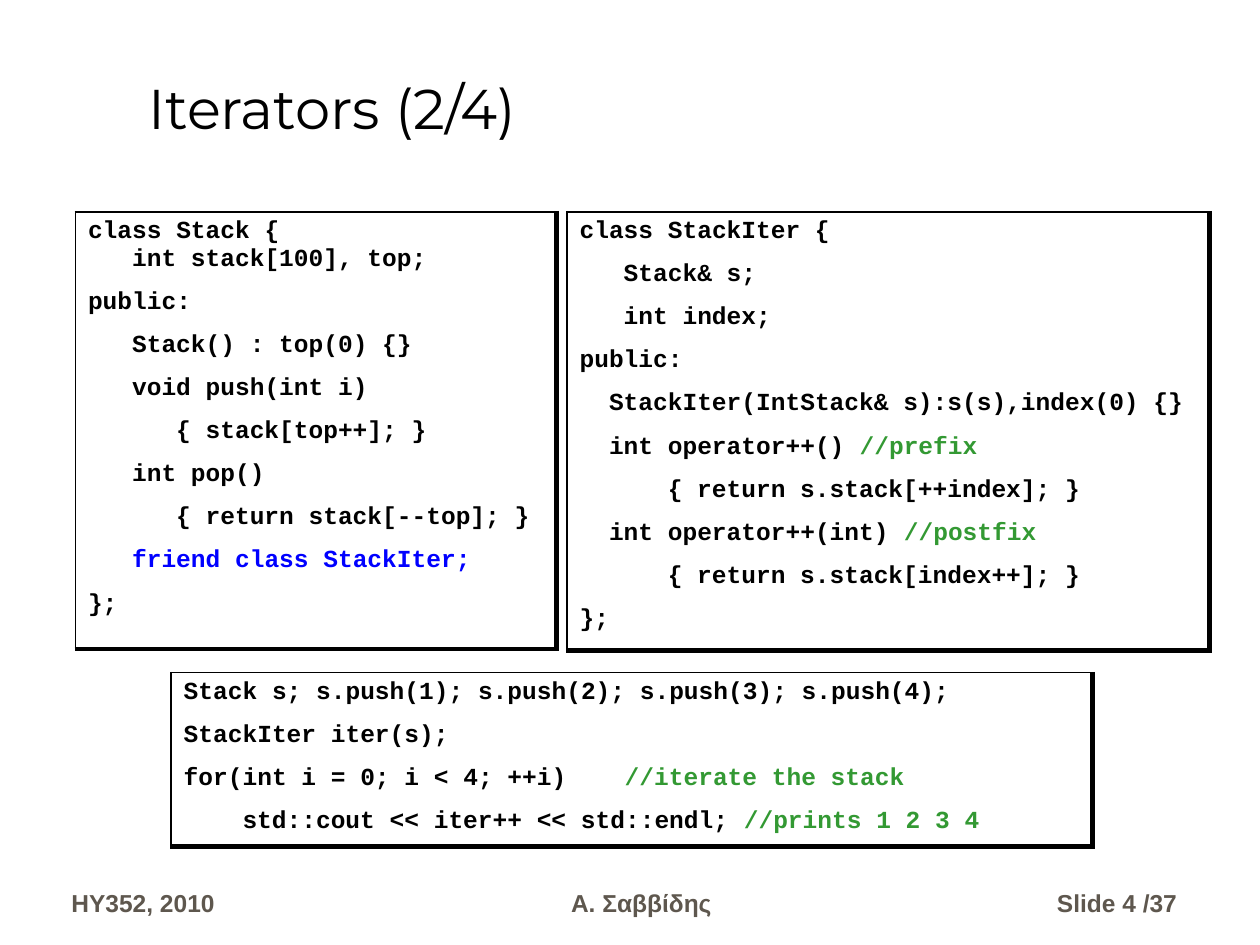
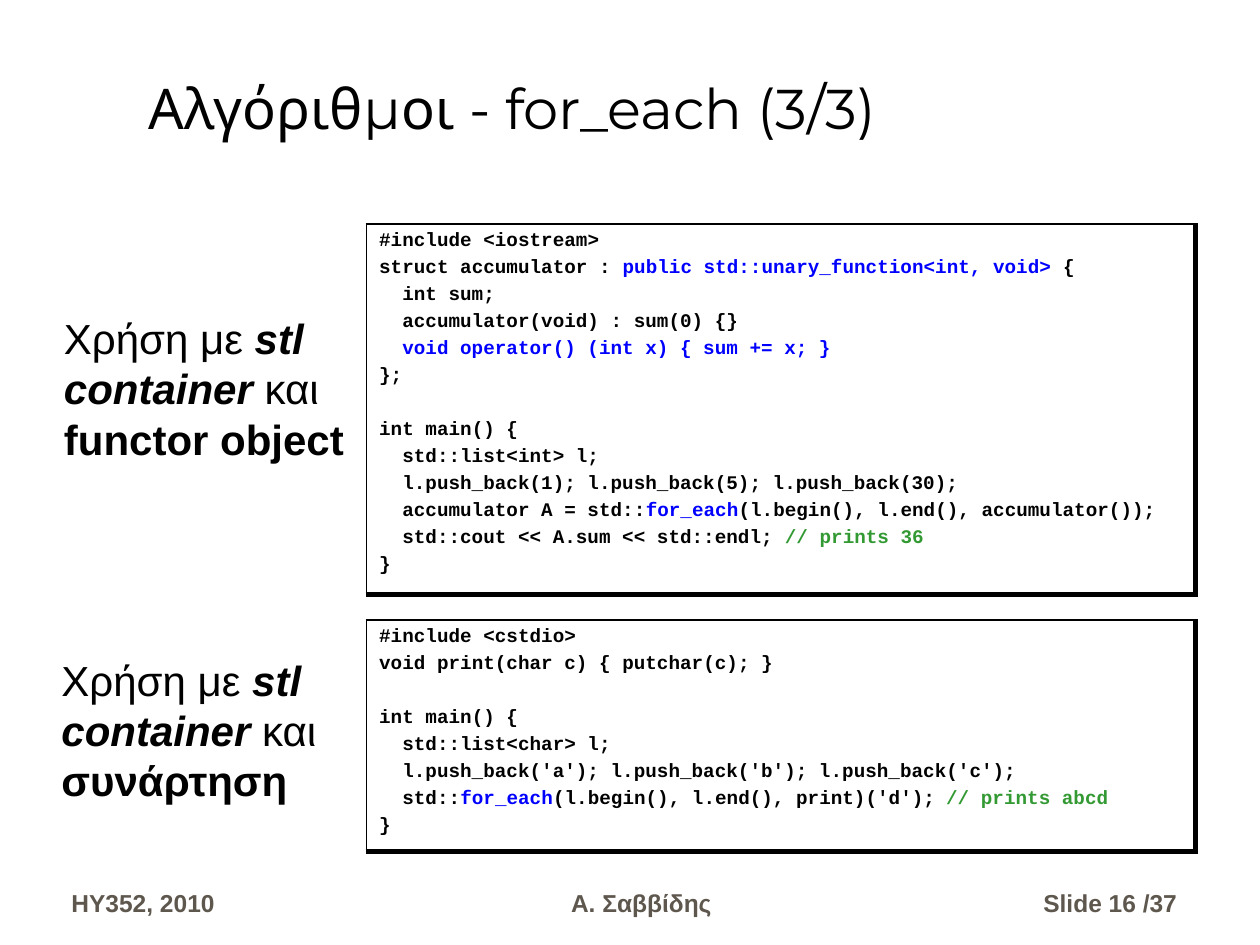
"""Build two lecture slides on C++ iterators and the for_each algorithm."""

from dataclasses import dataclass
from typing import NamedTuple

import lxml.etree
import pptx
import pptx.dml.color
import pptx.enum.text
import pptx.oxml
import pptx.oxml.ns
import pptx.slide
import pptx.table
import pptx.text.text
import pptx.util

Cm = pptx.util.Cm
Pt = pptx.util.Pt
Align = pptx.enum.text.PP_ALIGN
Anchor = pptx.enum.text.MSO_ANCHOR

BLACK = pptx.dml.color.RGBColor(0x00, 0x00, 0x00)
WHITE = pptx.dml.color.RGBColor(0xFF, 0xFF, 0xFF)
KEYWORD_BLUE = pptx.dml.color.RGBColor(0x00, 0x00, 0xFF)
COMMENT_GREEN = pptx.dml.color.RGBColor(0x33, 0x99, 0x33)
FOOTER_GREY = pptx.dml.color.RGBColor(0x5E, 0x57, 0x4E)

TITLE_FONT = "Montserrat"
BODY_FONT = "Arial"
CODE_FONT = "Courier New"
CODE_CHARACTER_WIDTH = 0.6
CODE_LINE_HEIGHT = 1.13
THIN_BORDER = Pt(1.08)
THICK_BORDER = Pt(3)
SLIDE_TOTAL = 37


class Box(NamedTuple):
    """Place and size in centimetres."""

    left: float
    top: float
    width: float
    height: float

    def lengths(self) -> tuple[Cm, ...]:
        """Give the four values as lengths."""
        return tuple(Cm(value) for value in self)


class Span(NamedTuple):
    """Piece of a label with its emphasis."""

    text: str
    bold: bool = False
    italic: bool = False


@dataclass(frozen=True)
class Label:
    """Explanation beside a code box."""

    box: Box
    spans: tuple[Span, ...]


@dataclass(frozen=True)
class CodeBox:
    """Bordered listing whose tabs lead to the comment column."""

    box: Box
    code: str
    size: float
    gap: float
    highlights: tuple[str, ...] = ()
    tight_lines: tuple[int, ...] = ()
    comment_column: int = 0


@dataclass(frozen=True)
class Lesson:
    """Content of one slide."""

    number: int
    title: str
    code_boxes: tuple[CodeBox, ...]
    labels: tuple[Label, ...] = ()


TITLE_BOX = Box(2.74, 0.43, 22.66, 2.54)

STACK_CODE = """class Stack {
   int stack[100], top;
public:
   Stack() : top(0) {}
   void push(int i)
      { stack[top++]; }
   int pop()
      { return stack[--top]; }
   friend class StackIter;
};"""

ITERATOR_CODE = """class StackIter {
   Stack& s;
   int index;
public:
  StackIter(IntStack& s):s(s),index(0) {}
  int operator++() //prefix
      { return s.stack[++index]; }
  int operator++(int) //postfix
      { return s.stack[index++]; }
};"""

USAGE_CODE = """Stack s; s.push(1); s.push(2); s.push(3); s.push(4);
StackIter iter(s);
for(int i = 0; i < 4; ++i)\t//iterate the stack
    std::cout << iter++ << std::endl; //prints 1 2 3 4"""

FUNCTOR_CODE = """#include <iostream>
struct accumulator : public std::unary_function<int, void> {
  int sum;
  accumulator(void) : sum(0) {}
  void operator() (int x) { sum += x; }
};

int main() {
  std::list<int> l;
  l.push_back(1); l.push_back(5); l.push_back(30);
  accumulator A = std::for_each(l.begin(), l.end(), accumulator());
  std::cout << A.sum << std::endl; // prints 36
}"""

FUNCTION_CODE = """#include <cstdio>
void print(char c) { putchar(c); }

int main() {
  std::list<char> l;
  l.push_back('a'); l.push_back('b'); l.push_back('c');
  std::for_each(l.begin(), l.end(), print)('d');\t// prints abcd
}"""


def label_spans(ending: str) -> tuple[Span, ...]:
    """Compose a label that differs only in its ending."""
    return (
        Span("Χρήση με "),
        Span("stl container", bold=True, italic=True),
        Span(" και "),
        Span(ending, bold=True),
    )


LESSONS = (
    Lesson(
        4,
        "Iterators (2/4)",
        (
            CodeBox(Box(1.52, 4.27, 9.7, 8.81), STACK_CODE, 14, 8.8,
                    highlights=("friend class StackIter;",), tight_lines=(1,)),
            CodeBox(Box(11.43, 4.27, 12.95, 8.84), ITERATOR_CODE, 14, 8.8),
            CodeBox(Box(3.45, 13.56, 18.57, 3.51), USAGE_CODE, 14, 8.8,
                    comment_column=38),
        ),
    ),
    Lesson(
        16,
        "Αλγόριθμοι - for_each (3/3)",
        (
            CodeBox(Box(7.39, 4.52, 16.71, 7.47), FUNCTOR_CODE, 11, 2.8,
                    highlights=("public std::unary_function<int, void>",
                                "void operator() (int x) { sum += x; }",
                                "for_each")),
            CodeBox(Box(7.39, 12.5, 16.71, 4.67), FUNCTION_CODE, 11, 2.8,
                    highlights=("for_each",), comment_column=50),
        ),
        (
            Label(Box(1.04, 6.17, 6.43, 3.3), label_spans("functor object")),
            Label(Box(0.99, 13.06, 6.12, 3.3), label_spans("συνάρτηση")),
        ),
    ),
)


def format_run(run: pptx.text.text._Run, font_name: str, size: float,
               color: pptx.dml.color.RGBColor = BLACK,
               bold: bool = False, italic: bool = False) -> None:
    """Set the character format of a run."""
    run.font.name = font_name
    run.font.size = Pt(size)
    run.font.color.rgb = color
    run.font.bold = bold
    run.font.italic = italic


def color_pieces(line: str, highlights: tuple[str, ...]) -> list[tuple]:
    """Split a code line into pieces with their colours."""
    code, slashes, comment = line.partition("//")
    highlight = next((text for text in highlights if text in code), "")
    before, found, after = code.partition(highlight) if highlight else (code, "", "")
    pieces = [(before, BLACK), (found, KEYWORD_BLUE), (after, BLACK),
              (slashes + comment, COMMENT_GREEN)]
    return [piece for piece in pieces if piece[0]]


def set_borders(cell: pptx.table._Cell) -> None:
    """Give a cell thin left and top and thick right and bottom borders."""
    properties = cell._tc.get_or_add_tcPr()
    widths = {"L": THIN_BORDER, "R": THICK_BORDER, "T": THIN_BORDER, "B": THICK_BORDER}
    for side, width in widths.items():
        properties.append(pptx.oxml.parse_xml(
            f'<a:ln{side} {pptx.oxml.ns.nsdecls("a")} w="{int(width)}">'
            f'<a:solidFill><a:srgbClr val="{BLACK}"/></a:solidFill></a:ln{side}>'))


def add_code_box(slide: pptx.slide.Slide, code_box: CodeBox) -> None:
    """Draw a listing as a one-cell table."""
    table = slide.shapes.add_table(1, 1, *code_box.box.lengths()).table
    table.first_row = table.horz_banding = False
    cell = table.cell(0, 0)
    set_borders(cell)
    cell.fill.solid()
    cell.fill.fore_color.rgb = WHITE

    character_width = CODE_CHARACTER_WIDTH * code_box.size
    blank_height = code_box.gap + CODE_LINE_HEIGHT * code_box.size
    extra_gap = 0.0
    for index, line in enumerate(code_box.code.splitlines()):
        if not line:
            extra_gap += blank_height
            continue
        text = line.lstrip()
        paragraph = (cell.text_frame.add_paragraph() if index
                     else cell.text_frame.paragraphs[0])
        gap = 0 if index in code_box.tight_lines else code_box.gap
        paragraph.space_before = Pt(gap + extra_gap)
        extra_gap = 0.0
        properties = paragraph._p.get_or_add_pPr()
        properties.set("marL", "0")
        properties.set("indent", str(int(Pt((len(line) - len(text)) * character_width))))
        if "\t" in text:
            tabs = lxml.etree.SubElement(properties, pptx.oxml.ns.qn("a:tabLst"))
            position = Pt(code_box.comment_column * character_width)
            lxml.etree.SubElement(tabs, pptx.oxml.ns.qn("a:tab"),
                                  pos=str(int(position)), algn="l")
        for piece, color in color_pieces(text, code_box.highlights):
            run = paragraph.add_run()
            run.text = piece
            format_run(run, CODE_FONT, code_box.size, color, bold=True)


def add_label(slide: pptx.slide.Slide, label: Label) -> None:
    """Draw an explanation with mixed emphasis."""
    text_frame = slide.shapes.add_textbox(*label.box.lengths()).text_frame
    text_frame.word_wrap = True
    for span in label.spans:
        run = text_frame.paragraphs[0].add_run()
        run.text = span.text
        format_run(run, BODY_FONT, 24, bold=span.bold, italic=span.italic)


def add_title(slide: pptx.slide.Slide, title: str) -> None:
    """Fill and format the title placeholder."""
    shape = slide.shapes.title
    shape.left, shape.top, shape.width, shape.height = TITLE_BOX.lengths()
    shape.text_frame.text = title
    shape.text_frame.auto_size = pptx.enum.text.MSO_AUTO_SIZE.NONE
    shape.text_frame.vertical_anchor = Anchor.BOTTOM
    paragraph = shape.text_frame.paragraphs[0]
    paragraph.alignment = Align.LEFT
    format_run(paragraph.runs[0], TITLE_FONT, 32)


def add_footer(slide: pptx.slide.Slide, number: int) -> None:
    """Draw the course, lecturer and slide number."""
    footers = (
        (1.19, 4.14, Align.LEFT, "HY352, 2010"),
        (5.54, 14.78, Align.CENTER, "Α. Σαββίδης"),
        (20.5, 3.48, Align.RIGHT, f"Slide {number} /{SLIDE_TOTAL}"),
    )
    for left, width, alignment, text in footers:
        box = Box(left, 17.35, width, 1.27)
        text_frame = slide.shapes.add_textbox(*box.lengths()).text_frame
        text_frame.word_wrap = True
        text_frame.vertical_anchor = Anchor.BOTTOM
        text_frame.text = text
        paragraph = text_frame.paragraphs[0]
        paragraph.alignment = alignment
        format_run(paragraph.runs[0], BODY_FONT, 14, FOOTER_GREY, bold=True)


def main() -> None:
    """Build and save the presentation."""
    presentation = pptx.Presentation()
    presentation.slide_width = Cm(25.4)
    presentation.slide_height = Cm(19.05)
    title_only = presentation.slide_layouts.get_by_name("Title Only")
    for lesson in LESSONS:
        slide = presentation.slides.add_slide(title_only)
        add_title(slide, lesson.title)
        for code_box in lesson.code_boxes:
            add_code_box(slide, code_box)
        for label in lesson.labels:
            add_label(slide, label)
        add_footer(slide, lesson.number)
    presentation.save("out.pptx")


if __name__ == "__main__":
    main()
